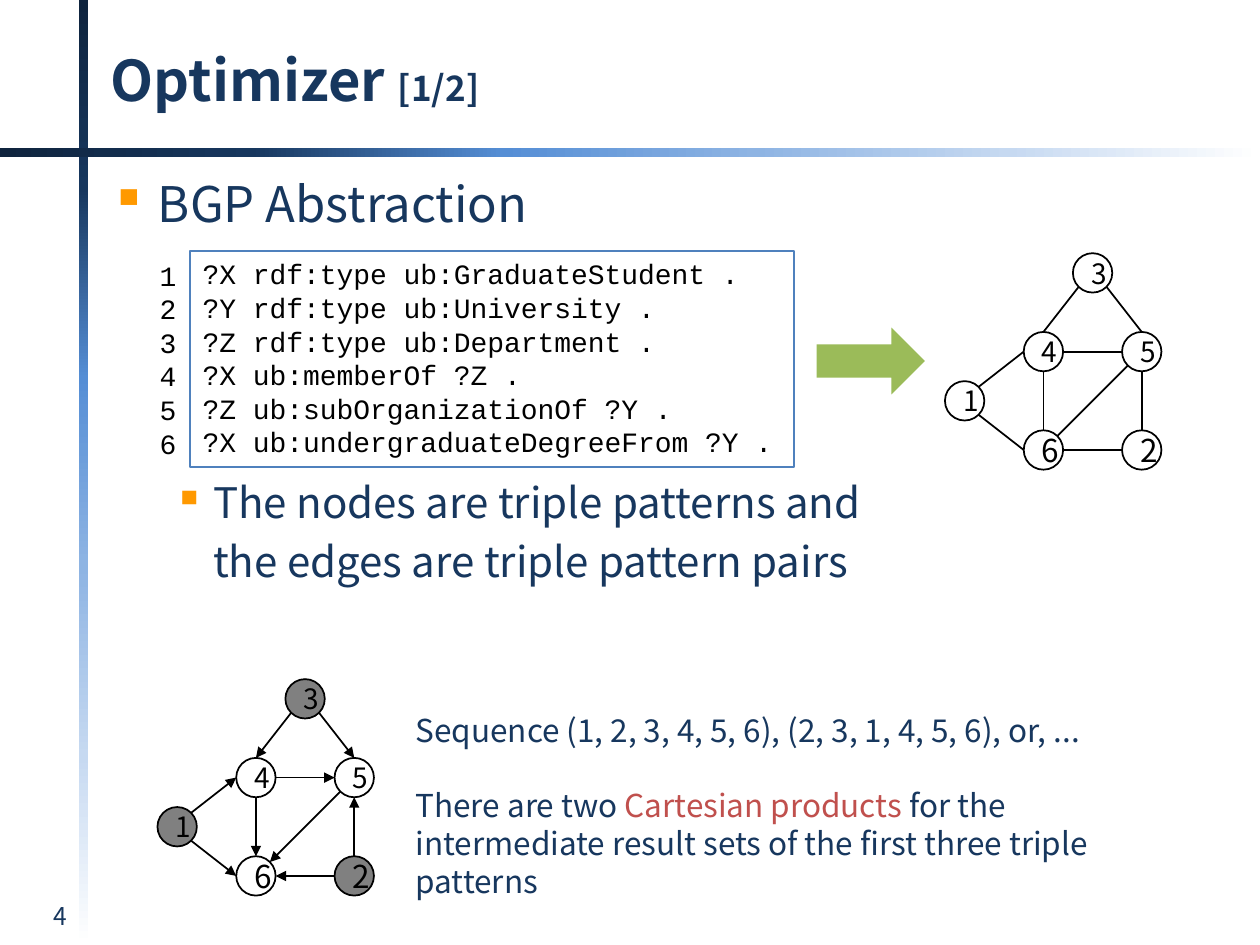
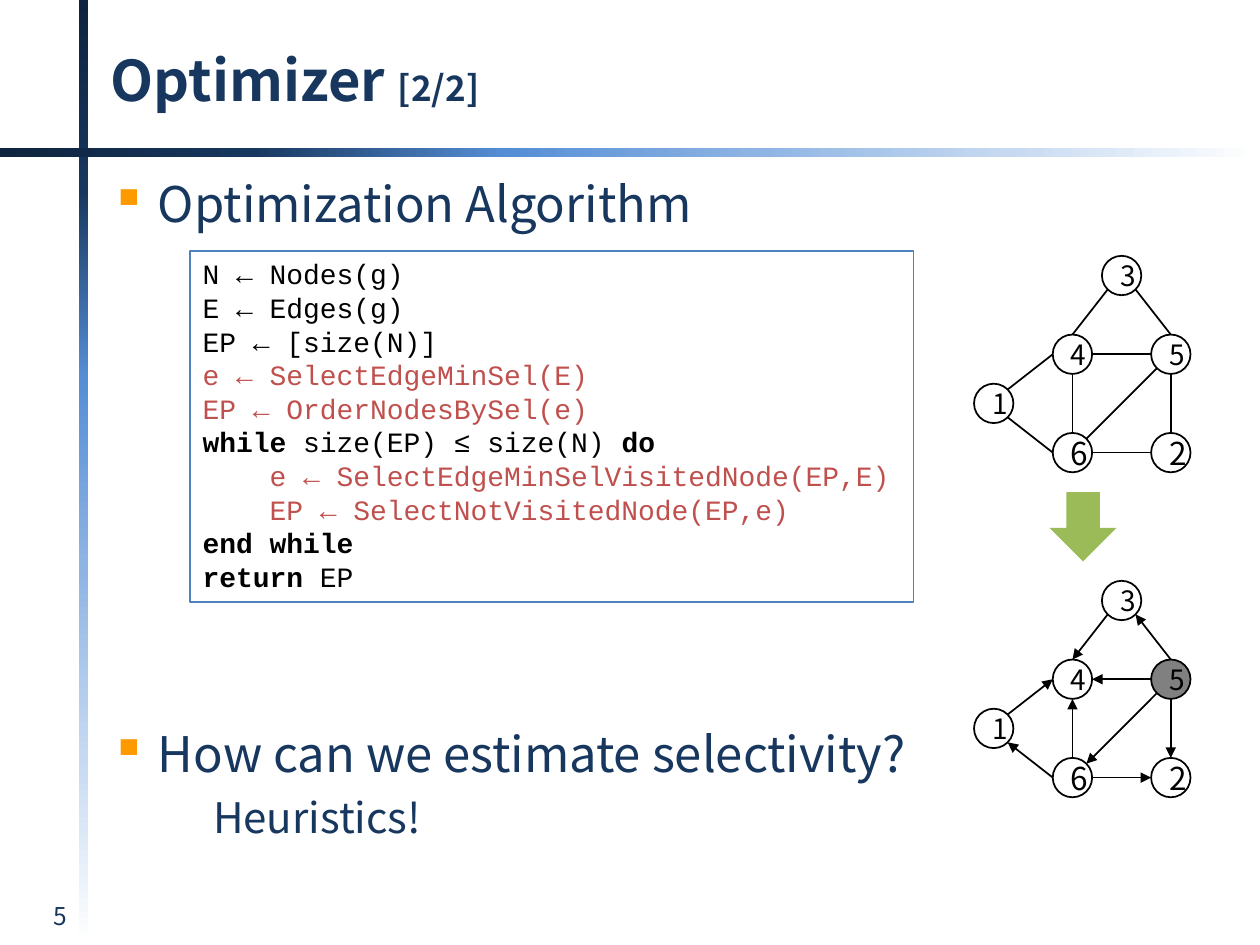
from dataclasses import dataclass
from math import cos, radians, sin

from lxml import etree
from pptx import Presentation
from pptx.dml.color import RGBColor
from pptx.enum.shapes import MSO_CONNECTOR, MSO_SHAPE
from pptx.enum.text import MSO_ANCHOR, PP_ALIGN
from pptx.oxml.ns import qn
from pptx.util import Pt

RECTANGLE, ELLIPSE = MSO_SHAPE.RECTANGLE, MSO_SHAPE.OVAL
RIGHT_ARROW, DOWN_ARROW = MSO_SHAPE.RIGHT_ARROW, MSO_SHAPE.DOWN_ARROW
STRAIGHT = MSO_CONNECTOR.STRAIGHT
TOP, MIDDLE = MSO_ANCHOR.TOP, MSO_ANCHOR.MIDDLE
LEFT, CENTER, RIGHT = PP_ALIGN.LEFT, PP_ALIGN.CENTER, PP_ALIGN.RIGHT


@dataclass(frozen=True)
class Theme:
    font: str = "Noto Sans CJK KR"
    code_font: str = "Courier New"
    navy: str = "17375E"
    black: str = "000000"
    red: str = "C0504D"
    orange: str = "FF9900"
    green: str = "9BBB59"
    gray: str = "808080"
    frame: str = "4F81BD"
    band: tuple = ("0F243E", "17375E", "558ED5", "8EB4E3", "C6D9F1", "FFFFFF")
    title: float = 32
    counter: float = 20
    heading: float = 28
    detail: float = 24
    note: float = 18
    code: float = 16
    footer: float = 14


THEME = Theme()
WIDTH, HEIGHT = 720, 540

# Graph layout: node centres lie on a grid of uneven steps
NODE = 22.5
STEPS = (0, 45, 73.1, 101.2)
NODES = {"1": (0, 2), "4": (1, 1), "6": (1, 3), "5": (3, 1), "2": (3, 3), "3": (2, 0)}
LARGE_LABELS = "62"
# Edge -> angles (clockwise from the right) at which it leaves and meets its nodes
EDGES = {"45": (0, 180), "62": (0, 180), "46": (90, 270), "52": (90, 270),
         "43": (270, 135), "53": (270, 45), "14": (315, 180), "16": (45, 180),
         "56": (135, 315)}


# Text
def add_span(para, text, size, color, bold=False, font=THEME.font):
    span = para.add_run()
    span.text = text
    span.font.name = font
    span.font.size = Pt(size)
    span.font.bold = bold
    span.font.color.rgb = RGBColor.from_string(color)


def fill_paragraphs(frame, lines, size, align=LEFT, space=0, font=THEME.font):
    """Each line is a list of (text, colour, bold) spans."""
    for index, line in enumerate(lines):
        para = frame.add_paragraph() if index else frame.paragraphs[0]
        para.alignment = align
        if index and space:
            para.space_before = Pt(space)
        for text, color, bold in line:
            add_span(para, text, size, color, bold, font)


def add_text_box(page, left, top, width, height, anchor=TOP):
    box = page.shapes.add_textbox(Pt(left), Pt(top), Pt(width), Pt(height))
    box.text_frame.word_wrap = True
    box.text_frame.vertical_anchor = anchor
    return box.text_frame


def set_indent(para, margin, hanging, bullet):
    properties = para._p.get_or_add_pPr()
    properties.set("marL", str(Pt(margin)))
    properties.set("indent", str(Pt(-hanging if bullet else 0)))
    if bullet:
        color = etree.SubElement(properties, qn("a:buClr"))
        etree.SubElement(color, qn("a:srgbClr"), val=THEME.orange)
        etree.SubElement(properties, qn("a:buChar"), char="▪")
    else:
        etree.SubElement(properties, qn("a:buNone"))


def add_outline(page, top, items):
    """Each item is (level, has bullet, text)."""
    frame = add_text_box(page, 56.2, top, 648, 44 * len(items))
    levels = ((THEME.heading, 27, 27), (THEME.detail, 58.5, 22.5))
    for index, (level, bullet, text) in enumerate(items):
        size, margin, hanging = levels[level]
        para = frame.add_paragraph() if index else frame.paragraphs[0]
        set_indent(para, margin, hanging, bullet)
        if index:
            para.space_before = Pt(0.2 * size)
        add_span(para, text, size, THEME.navy)


# Shapes
def add_plain_shape(shapes, kind, left, top, width, height, fill=None, line=None):
    shape = shapes.add_shape(kind, Pt(left), Pt(top), Pt(width), Pt(height))
    shape.shadow.inherit = False
    if fill:
        shape.fill.solid()
        shape.fill.fore_color.rgb = RGBColor.from_string(fill)
    else:
        shape.fill.background()
    if line:
        shape.line.color.rgb = RGBColor.from_string(line)
        shape.line.width = Pt(1)
    else:
        shape.line.fill.background()
    return shape


def add_band(page, left, top, width, height, angle):
    band = add_plain_shape(page.shapes, RECTANGLE, left, top, width, height)
    band.fill.gradient()
    band.fill.gradient_angle = angle
    stops = band._element.spPr.find(qn("a:gradFill")).find(qn("a:gsLst"))
    for stop in list(stops):
        stops.remove(stop)
    for index, color in enumerate(THEME.band):
        stop = etree.SubElement(stops, qn("a:gs"), pos=str(index * 20000))
        etree.SubElement(stop, qn("a:srgbClr"), val=color)


def add_code_box(page, width, height, lines):
    box = add_plain_shape(page.shapes, RECTANGLE, 108.7, 143.3, width, height,
                          line=THEME.frame)
    box.text_frame.word_wrap = True
    box.text_frame.vertical_anchor = TOP
    fill_paragraphs(box.text_frame, lines, THEME.code, font=THEME.code_font)


def plain_lines(texts):
    return [[(text, THEME.black, False)] for text in texts]


# Graphs
def rim_point(left, top, node, angle):
    column, row = NODES[node]
    radius = NODE / 2
    return (Pt(left + STEPS[column] + radius + radius * cos(radians(angle))),
            Pt(top + STEPS[row] + radius + radius * sin(radians(angle))))


def add_edge(shapes, start, end, arrow):
    edge = shapes.add_connector(STRAIGHT, *start, *end)
    edge.line.color.rgb = RGBColor.from_string(THEME.black)
    edge.line.width = Pt(1)
    properties = edge._element.spPr
    if arrow:
        etree.SubElement(properties.find(qn("a:ln")), qn("a:tailEnd"), type="triangle")
    etree.SubElement(properties, qn("a:effectLst"))


def add_graph(page, left, top, arrows=(), marked=""):
    """Arrows are node pairs such as "26"; without them edges are undirected."""
    shapes = page.shapes.add_group_shape().shapes
    for node, (column, row) in NODES.items():
        circle = add_plain_shape(shapes, ELLIPSE, left + STEPS[column], top + STEPS[row],
                                 NODE, NODE, THEME.gray if node in marked else None,
                                 THEME.black)
        circle.text_frame.word_wrap = True
        circle.text_frame.vertical_anchor = MIDDLE
        size = THEME.note if node in LARGE_LABELS else THEME.code
        fill_paragraphs(circle.text_frame, plain_lines([node]), size, CENTER)
    for pair in arrows or EDGES:
        start, end = pair
        leave, meet = EDGES[pair] if pair in EDGES else reversed(EDGES[end + start])
        add_edge(shapes, rim_point(left, top, start, leave),
                 rim_point(left, top, end, meet), bool(arrows))


# Pages
def add_page(deck, number, counter):
    page = deck.slides.add_slide(deck.slide_layouts[6])
    add_band(page, 45, 0, 5.4, HEIGHT, 270)
    add_band(page, 0, 84.4, WIDTH, 5.4, 0)
    title = add_text_box(page, 56.2, 11.5, 579.6, 67.7, MIDDLE).paragraphs[0]
    add_span(title, "Optimizer ", THEME.title, THEME.navy, True)
    add_span(title, counter, THEME.counter, THEME.navy, True)
    footer = add_text_box(page, 4.3, 511.2, 41, 23)
    fill_paragraphs(footer, [[(number, THEME.navy, False)]], THEME.footer, RIGHT)
    return page


def add_abstraction_page(deck):
    page = add_page(deck, "4", "[1/2]")
    add_outline(page, 95.8, [(0, True, "BGP Abstraction")])
    add_outline(page, 269, [(1, True, "The nodes are triple patterns and"),
                            (1, False, "the edges are triple pattern pairs")])

    # Numbered triple patterns
    add_code_box(page, 344.9, 123.8, plain_lines([
        "?X rdf:type ub:GraduateStudent .",
        "?Y rdf:type ub:University .",
        "?Z rdf:type ub:Department .",
        "?X ub:memberOf ?Z .",
        "?Z ub:subOrganizationOf ?Y .",
        "?X ub:undergraduateDegreeFrom ?Y ."]))
    numbers = add_text_box(page, 84.2, 144, 24.5, 126)
    fill_paragraphs(numbers, plain_lines("123456"), THEME.code, font=THEME.code_font)

    # Pattern graph and its ordering
    add_graph(page, 540, 144.7)
    add_graph(page, 90, 388.1, ("45", "26", "46", "25", "34", "35", "14", "16", "56"),
              marked="123")
    add_plain_shape(page.shapes, RIGHT_ARROW, 466.6, 187.2, 61.9, 38.2, THEME.green)

    # Explanation
    notes = add_text_box(page, 230.4, 402.5, 461.5, 94.3)
    fill_paragraphs(notes, [
        [("Sequence (1, 2, 3, 4, 5, 6), (2, 3, 1, 4, 5, 6), or, ...", THEME.navy, False)],
        [("There are two ", THEME.navy, False),
         ("Cartesian products", THEME.red, False),
         (" for the intermediate result sets of the first three triple patterns",
          THEME.navy, False)]], THEME.note, space=21.7)


def add_algorithm_page(deck):
    page = add_page(deck, "5", "[2/2]")
    add_outline(page, 95.8, [(0, True, "Optimization Algorithm")])
    add_outline(page, 410.1, [(0, True, "How can we estimate selectivity?"),
                              (1, False, "Heuristics!")])

    # Algorithm
    black, red = THEME.black, THEME.red
    add_code_box(page, 413.3, 200.9, [
        *plain_lines(["N ← Nodes(g)", "E ← Edges(g)", "EP ← [size(N)]"]),
        [("e ← SelectEdgeMinSel(E)", red, False)],
        [("EP ← OrderNodesBySel(e)", red, False)],
        [("while", black, True), (" size(EP) ≤ size(N) ", black, False),
         ("do", black, True)],
        [("    e ← SelectEdgeMinSelVisitedNode(EP,E)", red, False)],
        [("    EP ← SelectNotVisitedNode(EP,e)", red, False)],
        [("end while", black, True)],
        [("return", black, True), (" EP", black, False)]])

    # Graph before and after the algorithm
    add_graph(page, 556.6, 331.9, ("54", "62", "64", "52", "34", "53", "14", "61", "56"),
              marked="5")
    add_graph(page, 556.6, 146.2)
    add_plain_shape(page.shapes, DOWN_ARROW, 599.8, 281.2, 38.2, 39.6, THEME.green)


def main():
    deck = Presentation()
    deck.slide_width, deck.slide_height = Pt(WIDTH), Pt(HEIGHT)
    add_abstraction_page(deck)
    add_algorithm_page(deck)
    deck.save("out.pptx")


if __name__ == "__main__":
    main()
